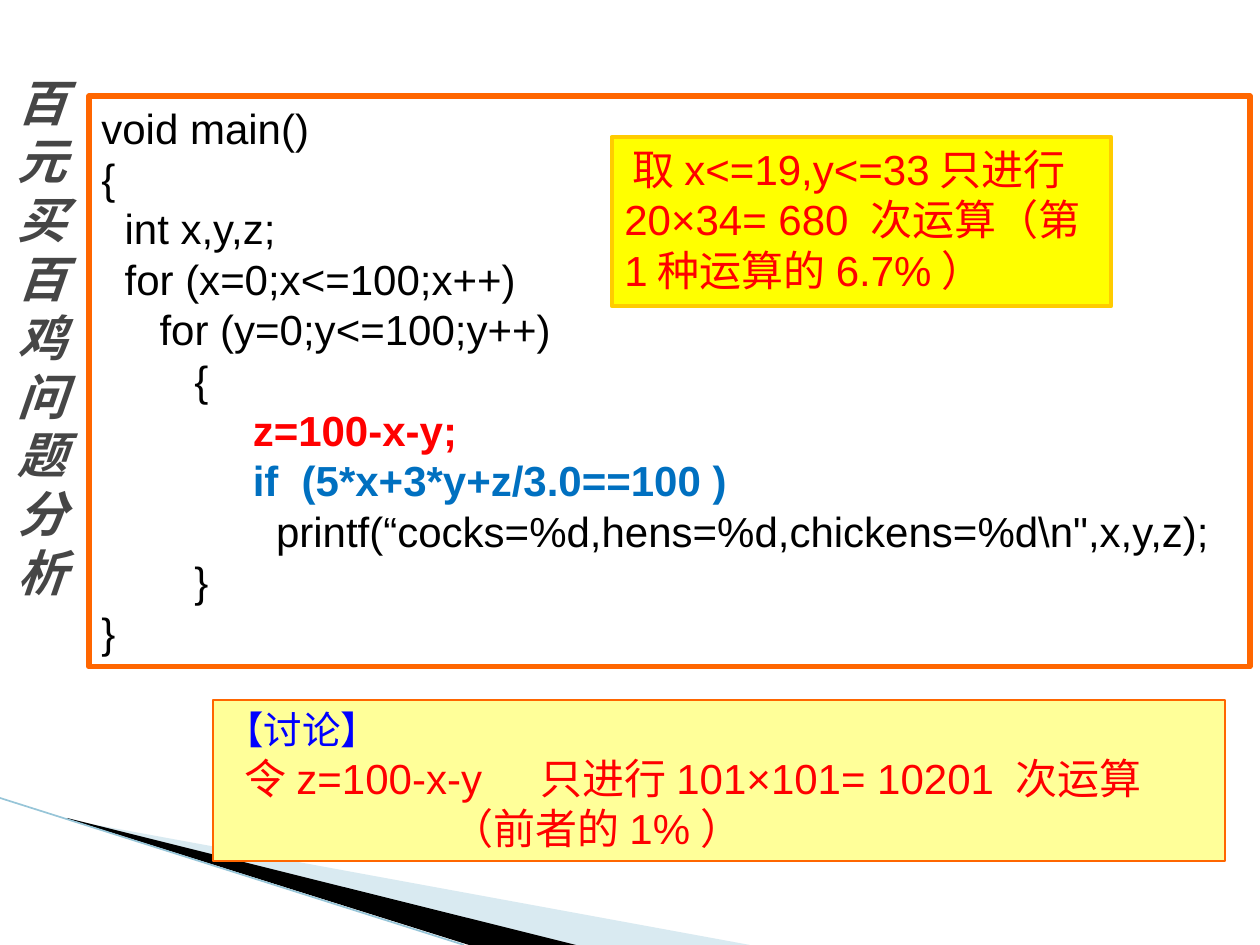
from lxml.etree import SubElement
from pptx import Presentation
from pptx.dml.color import RGBColor
from pptx.enum.shapes import MSO_CONNECTOR, MSO_SHAPE
from pptx.enum.text import MSO_ANCHOR, PP_ALIGN
from pptx.oxml.ns import qn
from pptx.util import Pt

PX = 914400 // 126  # EMU per px
CJK = "Noto Sans CJK SC"
BLACK = RGBColor(0, 0, 0)
RED = RGBColor(0xFF, 0, 0)
BLUE = RGBColor(0, 0, 0xFF)
CODE_BLUE = RGBColor(0, 0x70, 0xC0)
GREY = RGBColor(0x46, 0x46, 0x46)
ORANGE = RGBColor(0xFF, 0x66, 0)
GOLD = RGBColor(0xFF, 0xCC, 0)
YELLOW = RGBColor(0xFF, 0xFF, 0)
PALE_YELLOW = RGBColor(0xFF, 0xFF, 0x99)
PALE_BLUE = RGBColor(0xA0, 0xCB, 0xDC)
EDGE_BLUE = RGBColor(0x97, 0xC5, 0xD8)


def add_panel(left, top, width, height, fill, border, border_width):
    panel = slide.shapes.add_shape(
        MSO_SHAPE.RECTANGLE, left * PX, top * PX, width * PX, height * PX)
    panel.shadow.inherit = False
    if fill is None:
        panel.fill.background()
    else:
        panel.fill.solid()
        panel.fill.fore_color.rgb = fill
    panel.line.color.rgb = border
    panel.line.width = Pt(border_width)
    panel.text_frame.word_wrap = True
    panel.text_frame.vertical_anchor = MSO_ANCHOR.TOP
    return panel.text_frame


def format_paragraph(paragraph, size, color, font="Arial", bold=False,
                     italic=False, indent=0, tab=None):
    properties = paragraph._p.get_or_add_pPr()
    properties.set("indent", str(indent * PX))
    if tab:
        tabs = SubElement(properties, qn("a:tabLst"))
        SubElement(tabs, qn("a:tab"), pos=str(tab * PX), algn="l")
    paragraph.alignment = PP_ALIGN.LEFT
    paragraph.line_spacing = Pt(size * 1.2)
    for run in paragraph.runs:
        run.font.name = font
        run.font.size = Pt(size)
        run.font.bold = bold
        run.font.italic = italic
        run.font.color.rgb = color
        SubElement(run._r.get_or_add_rPr(), qn("a:ea"), typeface=CJK)


presentation = Presentation()
presentation.slide_width = 1260 * PX
presentation.slide_height = 945 * PX
slide = presentation.slides.add_slide(presentation.slide_layouts[6])

# Corner decoration
for points, color, alpha in (
    ([(69, 820), (750, 945), (575, 945), (69, 819)], PALE_BLUE, 40),
    ([(67, 818), (576, 945), (469, 945), (68, 819)], BLACK, 100),
):
    builder = slide.shapes.build_freeform(*points[0], scale=PX)
    builder.add_line_segments(points[1:])
    wedge = builder.convert_to_shape()
    wedge.shadow.inherit = False
    wedge.fill.solid()
    wedge.fill.fore_color.rgb = color
    wedge.line.fill.background()
    if alpha < 100:
        color_element = wedge._element.spPr.find(".//" + qn("a:srgbClr"))
        SubElement(color_element, qn("a:alpha"), val=str(alpha * 1000))

edge = slide.shapes.add_connector(
    MSO_CONNECTOR.STRAIGHT, 0, 798 * PX, 464 * PX, 945 * PX)
edge.line.color.rgb = EDGE_BLUE
edge.line.width = Pt(0.95)
SubElement(edge._element.spPr, qn("a:effectLst"))

# Title, one character per line
title = slide.shapes.add_textbox(0, 66 * PX, 79 * PX, 572 * PX).text_frame
title.word_wrap = True
title.text = "百元买百鸡问题分析"
format_paragraph(title.paragraphs[0], 28, GREY, CJK, bold=True, italic=True)
title.paragraphs[0].alignment = PP_ALIGN.RIGHT

# Program listing
code = add_panel(89, 96, 1161, 571, None, ORANGE, 3)
code.text = r"""void main()
{
  int x,y,z;
  for (x=0;x<=100;x++)
     for (y=0;y<=100;y++)
        {
             z=100-x-y;
             if  (5*x+3*y+z/3.0==100 )
               printf(“cocks=%d,hens=%d,chickens=%d\n",x,y,z);
        }
}"""
highlights = {6: RED, 7: CODE_BLUE}
for number, code_line in enumerate(code.paragraphs):
    format_paragraph(code_line, 24, highlights.get(number, BLACK),
                     bold=number in highlights)

# Discussion
discussion = add_panel(213, 700, 1012, 161, PALE_YELLOW, ORANGE, 0.75)
discussion.text = ("【讨论】\n令z=100-x-y\t只进行101×101= 10201 次运算\n"
                   "（前者的1%）")
heading, count, share = discussion.paragraphs
format_paragraph(heading, 22, BLUE, CJK)
format_paragraph(count, 24, RED, indent=19, tab=325)
format_paragraph(share, 24, RED, indent=226)

# Narrowed search range
search_range = add_panel(612, 137, 499, 169, YELLOW, GOLD, 2.75)
search_range.text = "取x<=19,y<=33\t只进行20×34= 680 次运算（第1种运算的6.7%）"
format_paragraph(search_range.paragraphs[0], 24, RED, indent=8, tab=350)

presentation.save("out.pptx")
